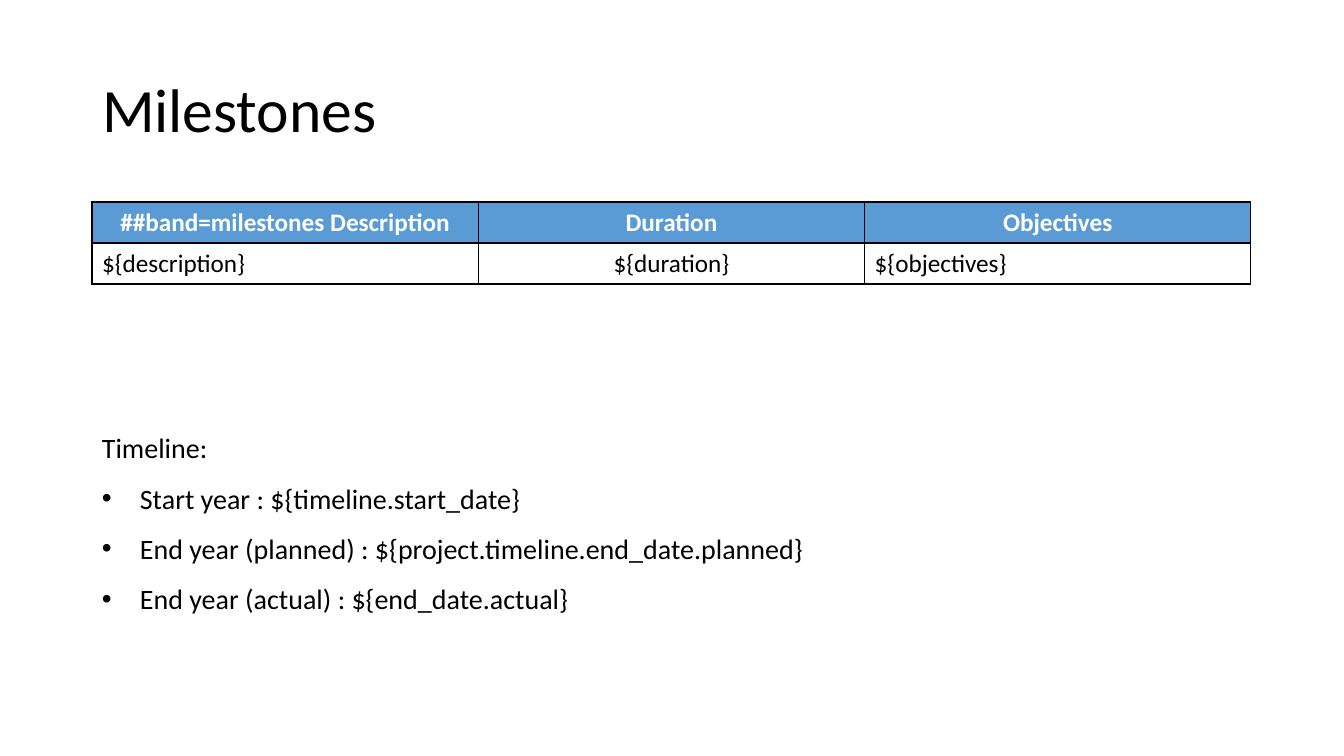
from lxml import etree
from pptx import Presentation
from pptx.dml.color import RGBColor
from pptx.enum.text import MSO_ANCHOR, MSO_AUTO_SIZE, PP_ALIGN
from pptx.oxml.ns import qn
from pptx.util import Emu, Pt

LEFT, CENTER, JUSTIFY = PP_ALIGN.LEFT, PP_ALIGN.CENTER, PP_ALIGN.JUSTIFY
MIDDLE, TOP = MSO_ANCHOR.MIDDLE, MSO_ANCHOR.TOP
GROW = MSO_AUTO_SIZE.SHAPE_TO_FIT_TEXT
NO_FIT = MSO_AUTO_SIZE.NONE

BLACK = RGBColor(0x00, 0x00, 0x00)
WHITE = RGBColor(0xFF, 0xFF, 0xFF)
HEADER_BLUE = RGBColor(0x5B, 0x9B, 0xD5)

FONT = "Calibri"
PIXELS_PER_INCH = 100.8
LEFT_EDGE, CONTENT_WIDTH = 92, 1159


def px(pixels):
    """Turn pixels into EMU."""
    return Emu(round(pixels * 914400 / PIXELS_PER_INCH))


class SlideBuilder:
    """Hold the text style and the current slide."""

    def __init__(self, slide, font=FONT):
        """Keep the slide and its font."""
        self.slide = slide
        self.font = font

    def add_text(self, paragraph, text, size, color=BLACK, bold=False,
                 align=LEFT, spacing=1.0):
        """Add one styled run to a paragraph."""
        paragraph.alignment = align
        paragraph.line_spacing = spacing
        run = paragraph.add_run()
        run.text = text
        run.font.name = self.font
        run.font.size = Pt(size)
        run.font.bold = bold
        run.font.color.rgb = color

    def title(self, text, left, top, width, height):
        """Place and fill the title placeholder."""
        title = self.slide.shapes.title
        title.left, title.top = px(left), px(top)
        title.width, title.height = px(width), px(height)
        frame = title.text_frame
        frame.auto_size = NO_FIT
        frame.vertical_anchor = MIDDLE
        self.add_text(frame.paragraphs[0], text, 44, spacing=0.9)

    def border(self, cell):
        """Draw a thin black line on all four sides of a cell."""
        properties = cell._tc.get_or_add_tcPr()
        for index, side in enumerate(("lnL", "lnR", "lnT", "lnB")):
            line = etree.Element(qn(f"a:{side}"), w=str(Pt(1)))
            fill = etree.SubElement(line, qn("a:solidFill"))
            etree.SubElement(fill, qn("a:srgbClr"), val=str(BLACK))
            properties.insert(index, line)

    def table(self, rows, alignments, left, top, width, row_height):
        """Add a bordered table whose first row is the header."""
        frame = self.slide.shapes.add_table(
            len(rows), len(alignments), px(left), px(top),
            px(width), px(row_height * len(rows)))
        table = frame.table
        table.first_row = table.horz_banding = False
        for row_index, texts in enumerate(rows):
            header = row_index == 0
            table.rows[row_index].height = px(row_height)
            for column, (text, align) in enumerate(zip(texts, alignments)):
                cell = table.cell(row_index, column)
                cell.fill.solid()
                cell.fill.fore_color.rgb = HEADER_BLUE if header else WHITE
                self.border(cell)
                self.add_text(cell.text_frame.paragraphs[0], text, 18,
                              WHITE if header else BLACK, header,
                              CENTER if header else align)

    def bullet(self, paragraph, indent):
        """Give a paragraph a hanging round bullet."""
        properties = paragraph._p.get_or_add_pPr()
        properties.set("marL", str(px(indent)))
        properties.set("indent", str(-px(indent)))
        etree.SubElement(properties, qn("a:buFont"), typeface="Arial")
        etree.SubElement(properties, qn("a:buChar"), char="•")

    def bulleted_text(self, heading, items, left, top, width, height):
        """Add a text box with a heading line and bulleted items."""
        box = self.slide.shapes.add_textbox(
            px(left), px(top), px(width), px(height))
        frame = box.text_frame
        frame.word_wrap = True
        frame.auto_size = GROW
        frame.vertical_anchor = TOP
        self.add_text(frame.paragraphs[0], heading, 20,
                      align=JUSTIFY, spacing=1.5)
        for item in items:
            paragraph = frame.add_paragraph()
            self.add_text(paragraph, item, 20, align=JUSTIFY, spacing=1.5)
            self.bullet(paragraph, 38)


def main():
    """Build the milestones slide and save it."""
    presentation = Presentation()
    presentation.slide_width, presentation.slide_height = px(1344), px(756)
    title_only = presentation.slide_layouts[5]
    builder = SlideBuilder(presentation.slides.add_slide(title_only))

    builder.title("Milestones", LEFT_EDGE, 40, CONTENT_WIDTH, 146)
    builder.table(
        [("##band=milestones Description", "Duration", "Objectives"),
         ("${description}", "${duration}", "${objectives}")],
        (LEFT, CENTER, LEFT), LEFT_EDGE, 202, CONTENT_WIDTH, 41)
    builder.bulleted_text(
        "Timeline:",
        ("Start year : ${timeline.start_date}",
         "End year (planned) : ${project.timeline.end_date.planned}",
         "End year (actual) : ${end_date.actual}"),
        LEFT_EDGE, 409, 988, 214)

    presentation.save("out.pptx")


main()
